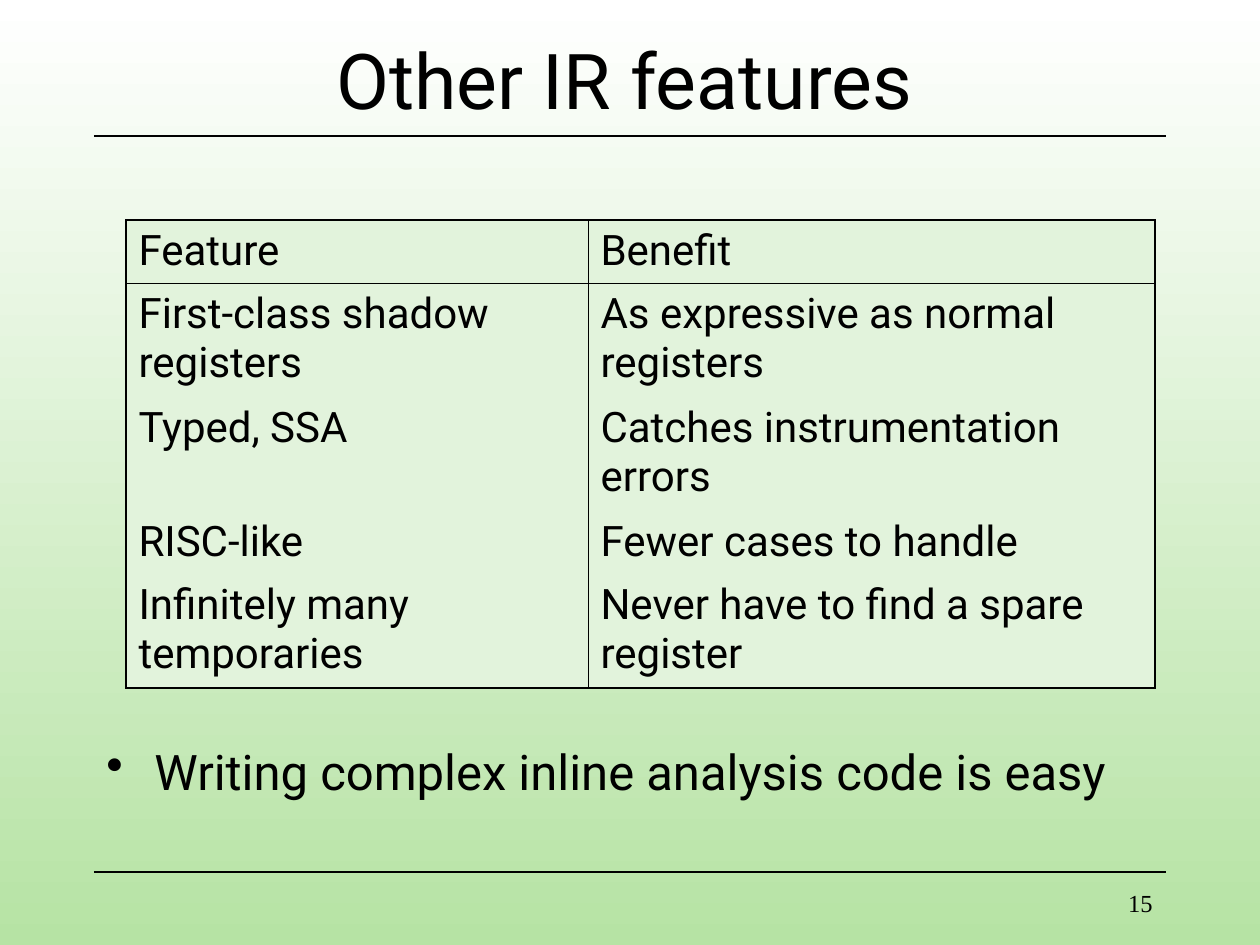
from lxml.etree import SubElement
from pptx import Presentation
from pptx.dml.color import RGBColor
from pptx.enum.shapes import MSO_CONNECTOR
from pptx.enum.text import MSO_ANCHOR, PP_ALIGN
from pptx.oxml.ns import qn
from pptx.util import Pt

SCALE = 914400 / 126
COLORS = {"ink": "000000", "top": "FFFFFF", "base": "B6E3A4", "cell": "E2F3DC"}
OUTER, INNER = 1.08, 0.45

ROWS = [
    ("Feature", "Benefit"),
    ("First-class shadow registers", "As expressive as normal registers"),
    ("Typed, SSA", "Catches instrumentation errors"),
    ("RISC-like", "Fewer cases to handle"),
    ("Infinitely many temporaries", "Never have to find a spare register"),
]


def emu(px):
    return round(px * SCALE)


def rgb(name):
    return RGBColor.from_string(COLORS[name])


class Deck:
    def __init__(self, wide, high):
        self.file = Presentation()
        self.file.slide_width = emu(wide)
        self.file.slide_height = emu(high)
        self.slide = self.file.slides.add_slide(self.file.slide_layouts[6])
        self.font = "Roboto"

    def shade(self, *names):
        fill = self.slide.background.fill
        fill.gradient()
        fill.gradient_angle = 270
        for stop, name in zip(fill.gradient_stops, names):
            stop.color.rgb = rgb(name)

    def style(self, para, size, font=None):
        para.font.size = Pt(size)
        para.font.name = font or self.font
        para.font.color.rgb = rgb("ink")

    def rule(self, left, right, y):
        line = self.slide.shapes.add_connector(
            MSO_CONNECTOR.STRAIGHT, emu(left), emu(y), emu(right), emu(y))
        line.line.color.rgb = rgb("ink")
        line.line.width = Pt(0.75)
        SubElement(line._element.spPr, qn("a:effectLst"))

    def text(self, words, box, size, align=PP_ALIGN.LEFT,
             anchor=MSO_ANCHOR.TOP, font=None):
        frame = self.slide.shapes.add_textbox(*map(emu, box)).text_frame
        frame.word_wrap = True
        frame.vertical_anchor = anchor
        para = frame.paragraphs[0]
        para.text = words
        para.alignment = align
        self.style(para, size, font)
        return para

    def bullet(self, words, box, size, indent):
        para = self.text(words, box, size)
        para.space_before = Pt(7)
        props = para._p.get_or_add_pPr()
        props.set("marL", str(emu(indent)))
        props.set("indent", str(-emu(indent)))
        SubElement(props, qn("a:buChar"), char="•")

    def edge(self, cell, side, width):
        props = cell._tc.get_or_add_tcPr()
        line = SubElement(props, qn(f"a:ln{side}"), w=str(Pt(width)))
        if width:
            fill = SubElement(line, qn("a:solidFill"))
            SubElement(fill, qn("a:srgbClr"), val=COLORS["ink"])
        else:
            SubElement(line, qn("a:noFill"))

    def table(self, rows, left, top, wides, highs, size):
        grid = self.slide.shapes.add_table(
            len(rows), len(wides), emu(left), emu(top),
            emu(sum(wides)), emu(sum(highs))).table
        grid.first_row = grid.horz_banding = False
        for col, wide in zip(grid.columns, wides):
            col.width = emu(wide)
        for row, high in zip(grid.rows, highs):
            row.height = emu(high)
        last_r, last_c = len(rows) - 1, len(wides) - 1
        for r, row in enumerate(rows):
            for c, words in enumerate(row):
                cell = grid.cell(r, c)
                para = cell.text_frame.paragraphs[0]
                para.text = words
                para.space_before = Pt(6)
                self.style(para, size)
                # Frame outside, column divider, and a line under the header
                self.edge(cell, "L", OUTER if c == 0 else INNER)
                self.edge(cell, "R", OUTER if c == last_c else INNER)
                self.edge(cell, "T", {0: OUTER, 1: INNER}.get(r, 0))
                self.edge(cell, "B", {0: INNER, last_r: OUTER}.get(r, 0))
                cell.fill.solid()
                cell.fill.fore_color.rgb = rgb("cell")


def main():
    deck = Deck(1260, 945)

    # Background and rules
    deck.shade("top", "base")
    for y in (136, 872):
        deck.rule(94, 1166, y)

    # Title
    deck.text("Other IR features", (199, 32, 851, 94), 44,
              PP_ALIGN.CENTER, MSO_ANCHOR.MIDDLE)

    # Feature table
    deck.table(ROWS, 126, 220, (462, 567), (63, 114, 114, 63, 114), 24)

    # Closing point
    deck.bullet("Writing complex inline analysis code is easy",
                (94, 735, 1071, 84), 28, 48)

    # Page number
    deck.text("15", (903, 882, 262, 42), 14, PP_ALIGN.RIGHT,
              font="Times New Roman")

    deck.file.save("out.pptx")


if __name__ == "__main__":
    main()
